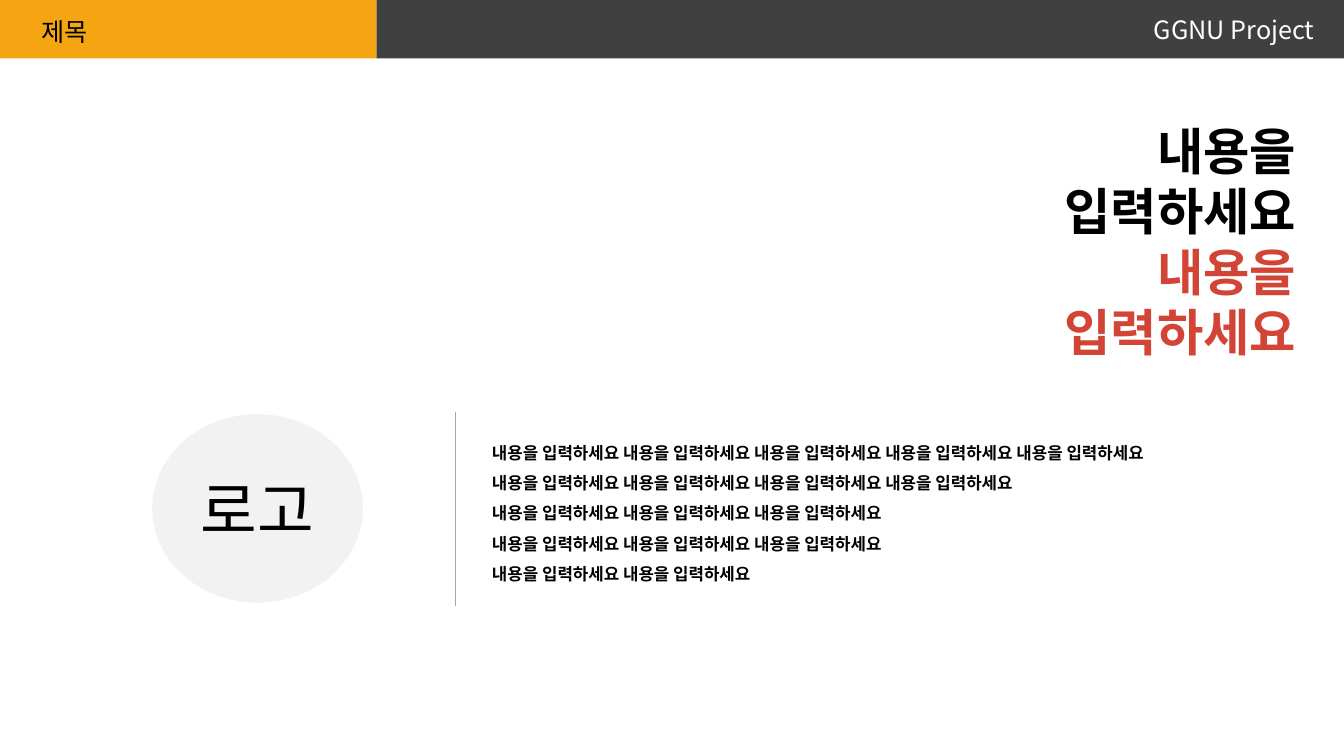
"""Build a branded content slide with a logo disc, a headline and a list."""
from dataclasses import dataclass

from lxml.etree import SubElement
from pptx import Presentation
from pptx.dml.color import RGBColor
from pptx.enum.shapes import MSO_CONNECTOR as Connector, MSO_SHAPE as Preset
from pptx.enum.text import MSO_ANCHOR as Anchor, MSO_AUTO_SIZE as AutoSize, PP_ALIGN as Align
from pptx.oxml.ns import qn
from pptx.shapes.autoshape import Shape
from pptx.slide import Slide
from pptx.util import Pt

FONT = "Noto Sans CJK KR"
BLACK, WHITE, RED = "000000", "FFFFFF", "D24536"
CHARCOAL, AMBER, PALE, GREY = "404040", "F6A512", "F2F2F2", "A6A6A6"
PHRASE = "내용을 입력하세요"
PHRASES_PER_LINE = (5, 4, 3, 3, 2)


@dataclass(frozen=True)
class Box:
    left: float
    top: float
    width: float
    height: float


@dataclass(frozen=True)
class Panel:
    preset: Preset
    box: Box
    fill: str


@dataclass(frozen=True)
class Line:
    text: str
    color: str = BLACK


@dataclass(frozen=True)
class Style:
    size: float
    bold: bool = False
    align: Align = Align.LEFT
    spacing: float = 1.0
    anchor: Anchor = Anchor.TOP
    indent: float = 7.2


HEADER_BARS = (
    Panel(Preset.RECTANGLE, Box(268.8, 0, 691.2, 41.8), CHARCOAL),
    Panel(Preset.RECTANGLE, Box(0, 0, 268.8, 41.8), AMBER),
)
LOGO_DISC = Panel(Preset.OVAL, Box(108.7, 295.9, 150.5, 134.6), PALE)


def rgb(color: str) -> RGBColor:
    return RGBColor.from_string(color)


def place(shape: Shape, box: Box) -> None:
    shape.left, shape.top = Pt(box.left), Pt(box.top)
    shape.width, shape.height = Pt(box.width), Pt(box.height)


def write(shape: Shape, lines: list[Line], style: Style) -> None:
    frame = shape.text_frame
    frame.word_wrap = True
    frame.auto_size = AutoSize.NONE
    frame.vertical_anchor = style.anchor
    frame.margin_left = Pt(style.indent)
    frame.margin_right = Pt(7.2)
    frame.margin_top = frame.margin_bottom = Pt(3.6)
    for index, line in enumerate(lines):
        paragraph = frame.add_paragraph() if index else frame.paragraphs[0]
        paragraph.alignment = style.align
        paragraph.line_spacing = style.spacing
        paragraph.space_before = paragraph.space_after = Pt(0)
        properties = paragraph._p.get_or_add_pPr()
        properties.set("marL", "0")
        properties.set("indent", "0")
        SubElement(properties, qn("a:buNone"))
        run = paragraph.add_run()
        run.text = line.text
        run.font.size = Pt(style.size)
        run.font.bold = style.bold
        run.font.color.rgb = rgb(line.color)
        run.font.name = FONT
        SubElement(run._r.get_or_add_rPr(), qn("a:ea"), typeface=FONT)


def add_panel(slide: Slide, panel: Panel) -> Shape:
    shape = slide.shapes.add_shape(panel.preset, 0, 0, 0, 0)
    place(shape, panel.box)
    shape.shadow.inherit = False
    shape.fill.solid()
    shape.fill.fore_color.rgb = rgb(panel.fill)
    shape.line.fill.background()
    return shape


def add_text(slide: Slide, box: Box, lines: list[Line], style: Style) -> None:
    shape = slide.shapes.add_textbox(0, 0, 0, 0)
    place(shape, box)
    write(shape, lines, style)


def add_divider(slide: Slide, x: float, top: float, bottom: float) -> None:
    divider = slide.shapes.add_connector(
        Connector.STRAIGHT, Pt(x), Pt(top), Pt(x), Pt(bottom)
    )
    divider.line.color.rgb = rgb(GREY)
    divider.line.width = Pt(0.5)
    SubElement(divider._element.spPr, qn("a:effectLst"))


def main() -> None:
    deck = Presentation()
    deck.slide_width, deck.slide_height = Pt(960), Pt(540)
    slide = deck.slides.add_slide(deck.slide_layouts[1])

    for depth, bar in enumerate(HEADER_BARS, start=2):
        slide.shapes._spTree.insert(depth, add_panel(slide, bar)._element)

    title, details = slide.placeholders
    place(title, Box(22.3, 7.9, 51.1, 28.8))
    write(title, [Line("제목")], Style(18))
    place(details, Box(344.2, 305.3, 568.1, 116.6))
    write(
        details,
        [Line(" ".join([PHRASE] * count)) for count in PHRASES_PER_LINE],
        Style(12, bold=True, align=Align.JUSTIFY, spacing=1.5),
    )

    add_divider(slide, 325.4, 294.5, 432.7)
    add_text(slide, Box(817.2, 6.5, 142.6, 28.8), [Line("GGNU Project", WHITE)], Style(18))
    add_text(
        slide,
        Box(654.5, 82.1, 278.6, 180),
        [Line(PHRASE), Line(PHRASE, RED)],
        Style(36, bold=True, align=Align.RIGHT, indent=70),
    )
    write(
        add_panel(slide, LOGO_DISC),
        [Line("로고")],
        Style(44, align=Align.CENTER, anchor=Anchor.MIDDLE),
    )
    deck.save("out.pptx")


if __name__ == "__main__":
    main()
